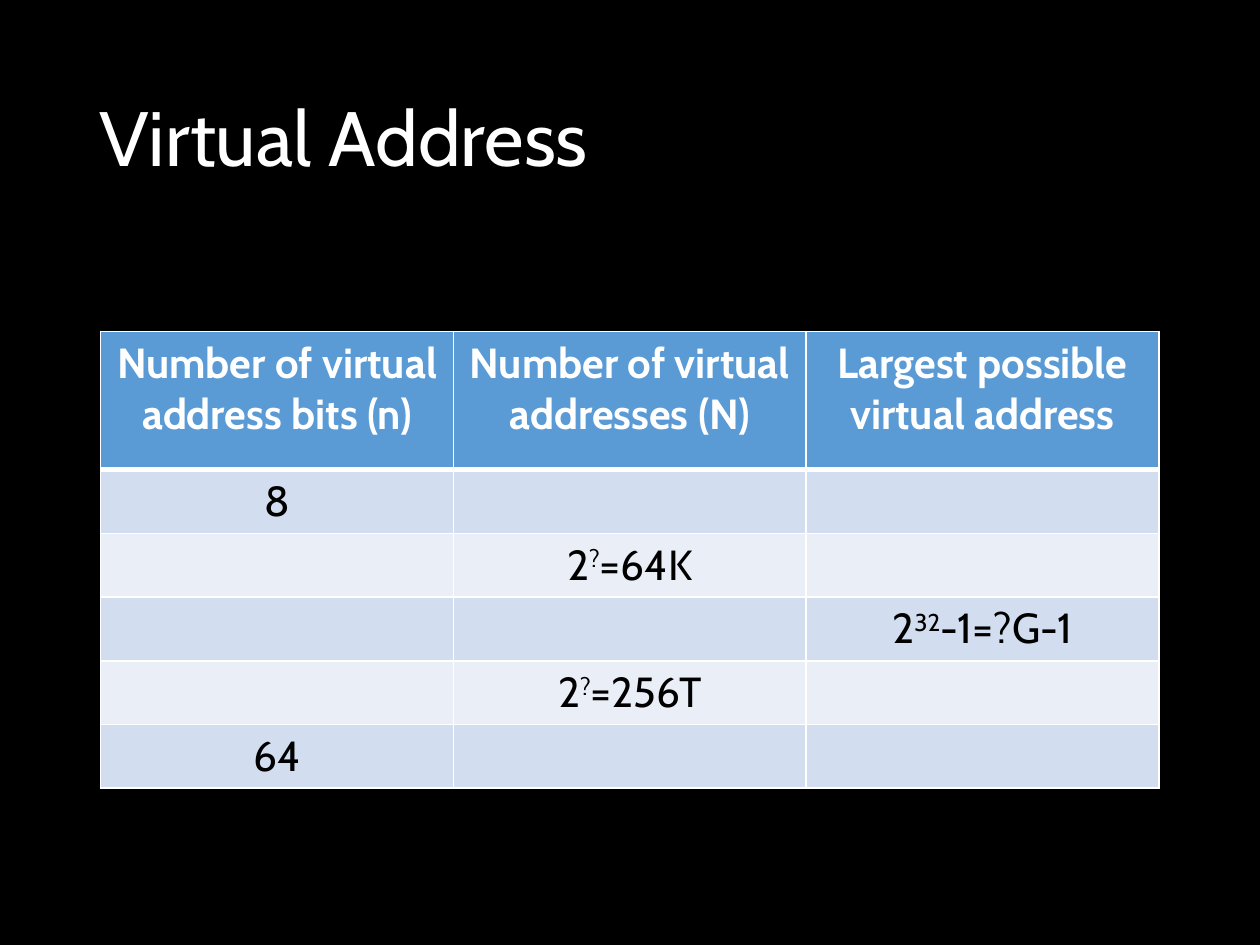
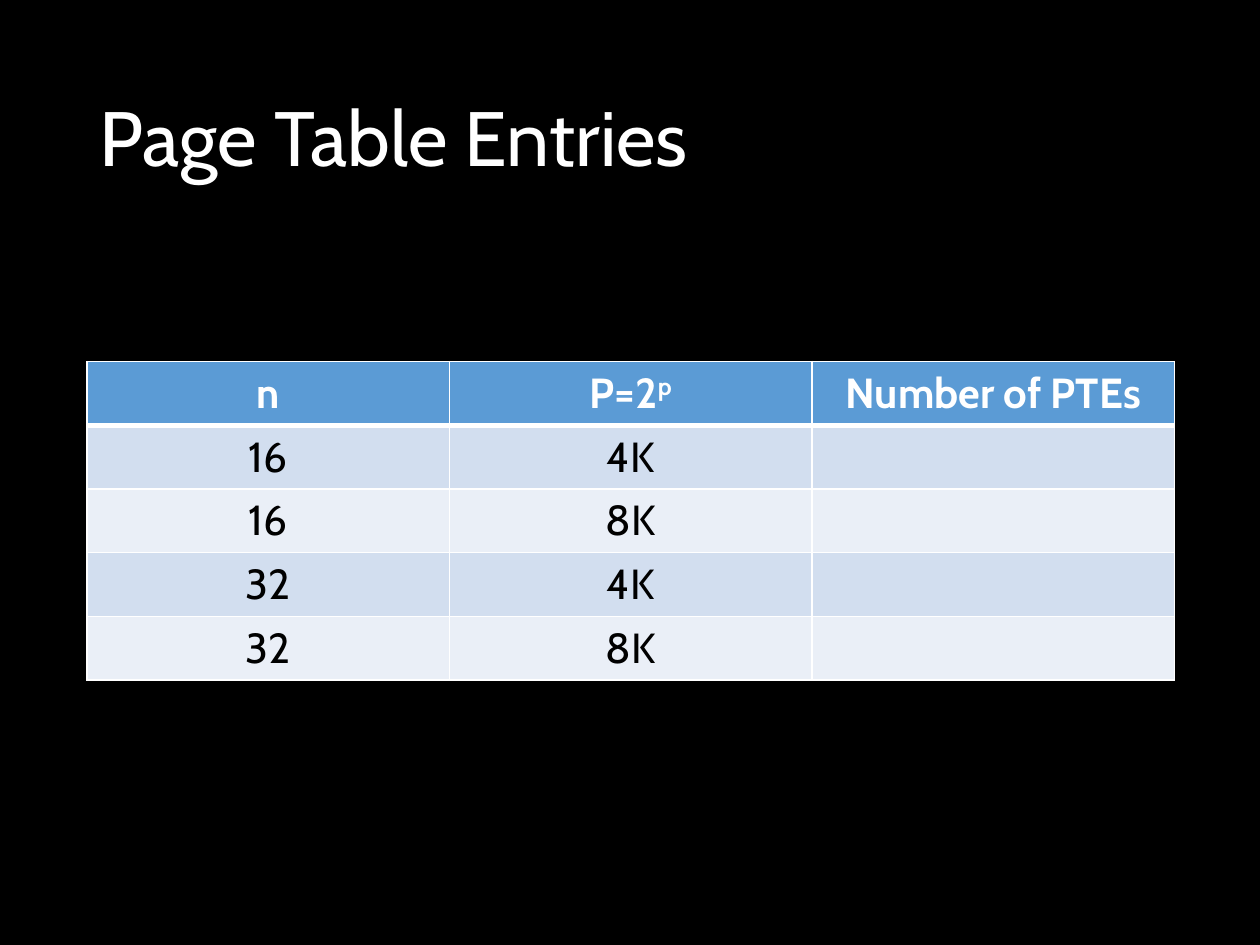
from dataclasses import dataclass

from lxml import etree
from pptx import Presentation
from pptx.dml.color import RGBColor
from pptx.enum import text
from pptx.oxml import ns
from pptx.util import Cm, Pt


@dataclass(frozen=True)
class Theme:
    font: str = "Cabin"
    background: str = "000000"
    light: str = "FFFFFF"
    dark: str = "000000"
    header: str = "5B9BD5"
    bands: tuple = ("D2DEEF", "EAEFF7")
    title_size: int = 44
    table_size: int = 24
    thin: int = 1
    thick: int = 3


THEME = Theme()
TITLE_FRAME = {"left": Cm(1.75), "top": Cm(1.02), "width": Cm(21.9), "height": Cm(3.68)}
ROW_HEIGHT = 1.27

# A part between two ^ marks is superscript
ADDRESS_ROWS = [
    ["Number of virtual address bits (n)", "Number of virtual addresses (N)",
     "Largest possible virtual address"],
    ["8", "", ""],
    ["", "2^?^=64K", ""],
    ["", "", "2^32^-1=?G-1"],
    ["", "2^?^=256T", ""],
    ["64", "", ""],
]
ENTRY_ROWS = [["n", "P=2^p^", "Number of PTEs"]] + [
    [bits, size, ""] for bits in ("16", "32") for size in ("4K", "8K")
]


def apply(target, values):
    for name, value in values.items():
        setattr(target, name, value)


def style_font(font, size, color, bold=False):
    apply(font, {"name": THEME.font, "size": Pt(size), "bold": bold})
    font.color.rgb = RGBColor.from_string(color)


def add_page(deck, title):
    """Add a title-only page and format its title."""
    page = deck.slides.add_slide(deck.slide_layouts[5])
    box = page.shapes.title
    apply(box, TITLE_FRAME)
    frame = box.text_frame
    apply(frame, {"text": title, "word_wrap": True,
                  "auto_size": text.MSO_AUTO_SIZE.NONE,
                  "vertical_anchor": text.MSO_ANCHOR.MIDDLE})
    para = frame.paragraphs[0]
    apply(para, {"alignment": text.PP_ALIGN.LEFT, "line_spacing": 0.9})
    style_font(para.runs[0].font, THEME.title_size, THEME.light)
    return page


def write_cell(cell, content, color, bold):
    para = cell.text_frame.paragraphs[0]
    para.alignment = text.PP_ALIGN.CENTER
    for index, part in enumerate(content.split("^")):
        if not part:
            continue
        span = para.add_run()
        span.text = part
        style_font(span.font, THEME.table_size, color, bold)
        if index % 2:
            span.font._element.set("baseline", "30000")


def set_borders(cell, top, bottom):
    properties = cell._tc.get_or_add_tcPr()
    widths = {"lnL": THEME.thin, "lnR": THEME.thin, "lnT": top, "lnB": bottom}
    for side, width in widths.items():
        line = etree.SubElement(properties, ns.qn(f"a:{side}"), w=str(Pt(width)))
        fill = etree.SubElement(line, ns.qn("a:solidFill"))
        etree.SubElement(fill, ns.qn("a:srgbClr"), val=THEME.light)


def add_grid(page, rows, left, top, column_width, header_height=ROW_HEIGHT):
    """Add a table with a header row and alternating body rows."""
    columns = len(rows[0])
    height = header_height + ROW_HEIGHT * (len(rows) - 1)
    table = page.shapes.add_table(len(rows), columns, Cm(left), Cm(top),
                                  Cm(column_width * columns), Cm(height)).table
    for column in table.columns:
        column.width = Cm(column_width)
    for index, row in enumerate(rows):
        is_header = index == 0
        table.rows[index].height = Cm(header_height if is_header else ROW_HEIGHT)
        fill = THEME.header if is_header else THEME.bands[(index - 1) % 2]
        for cell, content in zip(table.rows[index].cells, row):
            # The thick rule lies between the header and the first body row
            set_borders(cell, THEME.thick if index == 1 else THEME.thin,
                        THEME.thick if is_header else THEME.thin)
            cell.fill.solid()
            cell.fill.fore_color.rgb = RGBColor.from_string(fill)
            write_cell(cell, content, THEME.light if is_header else THEME.dark, is_header)


def main():
    deck = Presentation()
    apply(deck, {"slide_width": Cm(25.4), "slide_height": Cm(19.05)})
    background = deck.slide_master.background.fill
    background.solid()
    background.fore_color.rgb = RGBColor.from_string(THEME.background)

    # Virtual address sizes
    page = add_page(deck, "Virtual Address")
    add_grid(page, ADDRESS_ROWS, 2.03, 6.68, 7.11, header_height=2.79)

    # Page table entry counts
    page = add_page(deck, "Page Table Entries")
    add_grid(page, ENTRY_ROWS, 1.75, 7.29, 7.31)

    deck.save("out.pptx")


if __name__ == "__main__":
    main()
